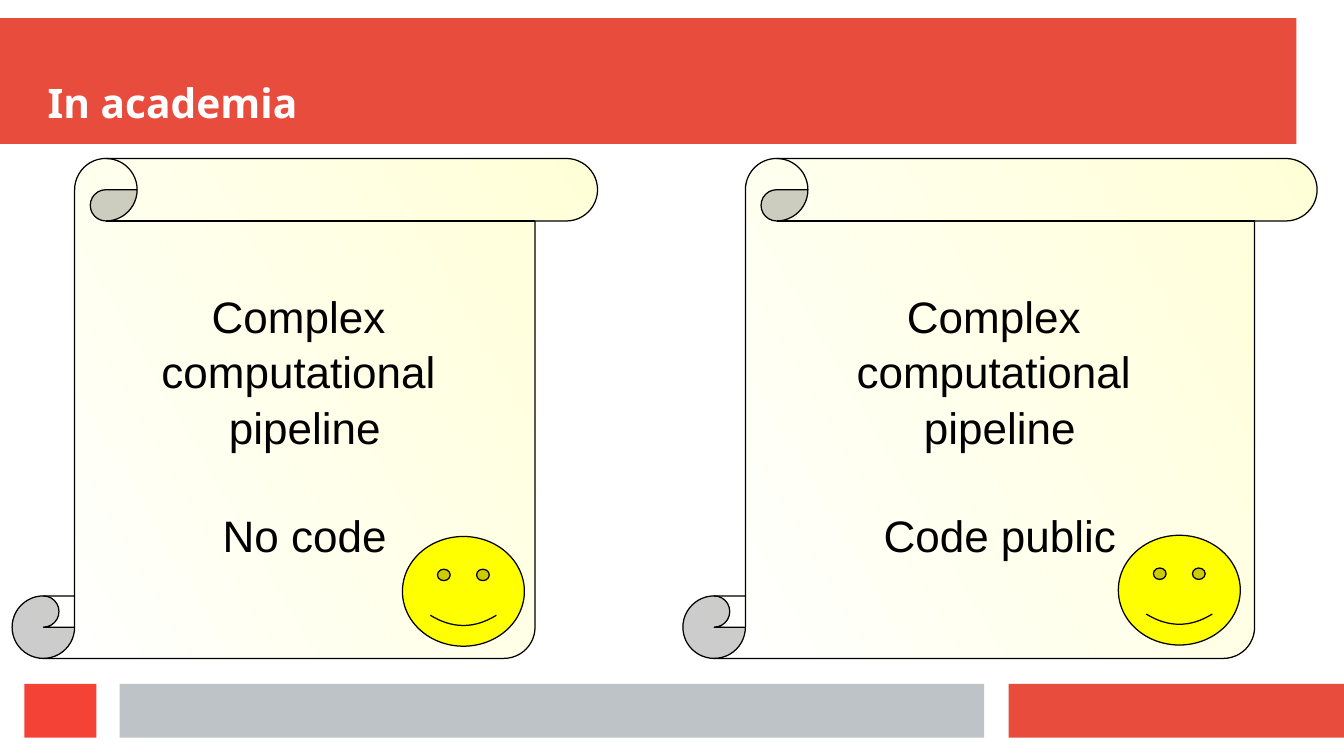
from pptx import Presentation
from pptx.dml.color import RGBColor
from pptx.enum import shapes, text
from pptx.util import Inches, Pt

RED = RGBColor(0xE7, 0x4C, 0x3C)
BRIGHT_RED = RGBColor(0xF4, 0x43, 0x36)
GREY = RGBColor(0xBD, 0xC3, 0xC7)
CREAM = RGBColor(0xFF, 0xFF, 0xD7)
YELLOW = RGBColor(0xFF, 0xFF, 0x00)
WHITE = RGBColor(0xFF, 0xFF, 0xFF)
BLACK = RGBColor(0x00, 0x00, 0x00)

BANDS = [
    (0, 0.15, 10.63, 1.03, RED),
    (8.27, 5.61, 2.76, 0.44, RED),
    (0.98, 5.61, 7.09, 0.44, GREY),
    (0.2, 5.61, 0.59, 0.44, BRIGHT_RED),
]
# Left edge, width and closing line of each scroll
SCROLLS = [(0.1, 4.8, "No code"), (5.6, 5.2, "Code public")]
SMILEYS = [(9.17, 4.39), (3.3, 4.4)]


def add_preset(page, kind, left, top, width, height):
    shape = page.shapes.add_shape(
        kind, Inches(left), Inches(top), Inches(width), Inches(height))
    shape.shadow.inherit = False
    return shape


def fill_solid(shape, color):
    shape.fill.solid()
    shape.fill.fore_color.rgb = color


def outline_hairline(shape):
    shape.line.color.rgb = BLACK
    shape.line.width = Pt(0)


def style_font(font, name, size, color):
    font.name = name
    font.size = Pt(size)
    font.color.rgb = color


def add_band(page, left, top, width, height, color):
    band = add_preset(page, shapes.MSO_SHAPE.RECTANGLE, left, top, width, height)
    fill_solid(band, color)
    band.line.fill.background()


def add_title(page, title):
    box = page.shapes.add_textbox(
        Inches(0.39), Inches(0.3), Inches(10.24), Inches(0.74))
    frame = box.text_frame
    frame.word_wrap = True
    frame.vertical_anchor = text.MSO_ANCHOR.BOTTOM
    frame.margin_left = frame.margin_right = 0
    frame.margin_top = frame.margin_bottom = 0
    frame.text = title
    font = frame.paragraphs[0].runs[0].font
    style_font(font, "Noto Sans", 24, WHITE)
    font.bold = True


def add_scroll(page, left, width, closing):
    scroll = add_preset(
        page, shapes.MSO_SHAPE.VERTICAL_SCROLL, left, 1.3, width, 4.1)
    scroll.fill.gradient()
    scroll.fill.gradient_angle = 210
    for stop, color in zip(scroll.fill.gradient_stops, (CREAM, WHITE)):
        stop.color.rgb = color
    outline_hairline(scroll)

    frame = scroll.text_frame
    frame.word_wrap = False
    frame.vertical_anchor = text.MSO_ANCHOR.MIDDLE
    frame.text = "\n".join(["Complex ", "computational ", "pipeline", closing])
    for para in frame.paragraphs:
        para.alignment = text.PP_ALIGN.CENTER
        para.line_spacing = 1.05
        style_font(para.runs[0].font, "Arial", 26, BLACK)
    frame.paragraphs[-1].space_before = Pt(31)


def add_smiley(page, left, top):
    smiley = add_preset(page, shapes.MSO_SHAPE.SMILEY_FACE, left, top, 1, 0.9)
    fill_solid(smiley, YELLOW)
    outline_hairline(smiley)


def main():
    deck = Presentation()
    deck.slide_width = Inches(11.02)
    deck.slide_height = Inches(6.2)
    page = deck.slides.add_slide(deck.slide_layouts[6])

    for band in BANDS:
        add_band(page, *band)
    add_title(page, "In academia")
    for scroll in SCROLLS:
        add_scroll(page, *scroll)
    for smiley in SMILEYS:
        add_smiley(page, *smiley)

    deck.save("out.pptx")


if __name__ == "__main__":
    main()
